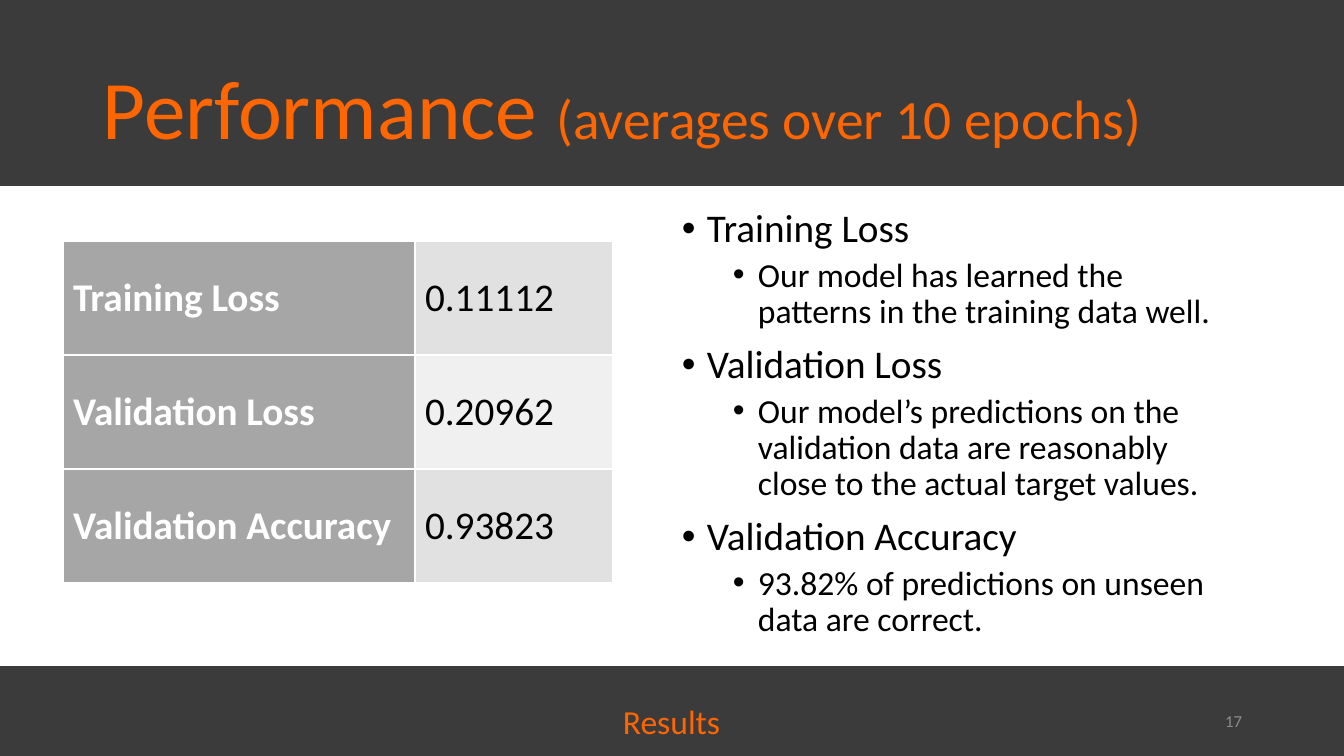
from lxml import etree
from pptx import Presentation
from pptx.dml.color import RGBColor
from pptx.enum.shapes import MSO_SHAPE
from pptx.enum.text import MSO_ANCHOR, PP_ALIGN
from pptx.oxml.ns import qn
from pptx.util import Pt

SCALE = 914400 / 100.8
FONT = "Calibri"
CHARCOAL = RGBColor(0x3B, 0x3B, 0x3B)
ORANGE = RGBColor(0xFF, 0x66, 0x00)
WHITE = RGBColor(0xFF, 0xFF, 0xFF)
BLACK = RGBColor(0x00, 0x00, 0x00)
PAGE_GRAY = RGBColor(0x8C, 0x8C, 0x8C)
LABEL_GRAY = RGBColor(0xA6, 0xA6, 0xA6)
BANDS = RGBColor(0xE1, 0xE1, 0xE1), RGBColor(0xF0, 0xF0, 0xF0)

METRICS = [
    ("Training Loss", "0.11112",
     "Our model has learned the patterns in the training data well."),
    ("Validation Loss", "0.20962",
     "Our model’s predictions on the validation data are reasonably "
     "close to the actual target values."),
    ("Validation Accuracy", "0.93823",
     "93.82% of predictions on unseen data are correct."),
]


def px(value):
    """Turn pixels into EMU."""
    return round(value * SCALE)


def add_run(paragraph, text, size, color, bold=False):
    """Append a styled run to a paragraph."""
    run = paragraph.add_run()
    run.text = text
    run.font.name, run.font.size, run.font.bold = FONT, Pt(size), bold
    run.font.color.rgb = color


def add_text_frame(slide, box, anchor=MSO_ANCHOR.TOP, wrap=True):
    """Add a text box and return its text frame."""
    frame = slide.shapes.add_textbox(*map(px, box)).text_frame
    frame.word_wrap = wrap
    frame.vertical_anchor = anchor
    return frame


def add_content_panel(slide, box):
    """Draw the white band between the dark header and footer."""
    panel = slide.shapes.add_shape(MSO_SHAPE.RECTANGLE, *map(px, box))
    panel.shadow.inherit = False
    panel.fill.solid()
    panel.fill.fore_color.rgb = WHITE
    panel.line.fill.background()


def add_title(slide, box):
    """Write the title with its smaller qualifier."""
    paragraph = add_text_frame(slide, box, MSO_ANCHOR.MIDDLE).paragraphs[0]
    paragraph.line_spacing = 0.9
    add_run(paragraph, "Performance ", 59.4, ORANGE)
    add_run(paragraph, "(averages over 10 epochs)", 39.6, ORANGE)


def add_borders(cell):
    """Give a cell thin white borders on all sides."""
    properties = cell._tc.get_or_add_tcPr()
    for index, side in enumerate(("lnL", "lnR", "lnT", "lnB")):
        line = etree.Element(qn(f"a:{side}"), w=str(Pt(1)))
        fill = etree.SubElement(line, qn("a:solidFill"))
        etree.SubElement(fill, qn("a:srgbClr"), val=str(WHITE))
        properties.insert(index, line)


def fill_cell(cell, text, color, background, bold):
    """Write and style one table cell."""
    cell.fill.solid()
    cell.fill.fore_color.rgb = background
    cell.vertical_anchor = MSO_ANCHOR.MIDDLE
    add_run(cell.text_frame.paragraphs[0], text, 28, color, bold)
    add_borders(cell)


def add_metrics_table(slide, box):
    """Build the table of metric names and values."""
    table = slide.shapes.add_table(len(METRICS), 2, *map(px, box)).table
    label_width = 352
    table.columns[0].width = px(label_width)
    table.columns[1].width = px(box[2] - label_width)
    for row, (name, value, _) in enumerate(METRICS):
        fill_cell(table.cell(row, 0), name, WHITE, LABEL_GRAY, True)
        fill_cell(table.cell(row, 1), value, BLACK, BANDS[row % 2], False)


def add_bullet(paragraph, text, size, indent, space):
    """Write one bulleted paragraph with a hanging indent."""
    paragraph.line_spacing = 0.9
    paragraph.space_before = Pt(space)
    properties = paragraph._p.get_or_add_pPr()
    properties.set("marL", str(px(indent)))
    properties.set("indent", str(-px(25)))
    font = etree.SubElement(properties, qn("a:buFont"))
    font.set("typeface", "Arial")
    etree.SubElement(properties, qn("a:buChar")).set("char", "•")
    add_run(paragraph, text, size, BLACK)


def add_findings(slide, box):
    """List each metric with its interpretation beneath."""
    frame = add_text_frame(slide, box)
    for index, (name, _, finding) in enumerate(METRICS):
        heading = frame.add_paragraph() if index else frame.paragraphs[0]
        add_bullet(heading, name, 28, 25, 10)
        detail = frame.add_paragraph()
        detail.level = 1
        add_bullet(detail, finding, 24, 76, 5)


def add_footer(slide, box):
    """Write the section name and the slide number."""
    left, top, width, _ = box
    section = add_text_frame(slide, (left + 613, top + 30, 119, 50), wrap=False)
    add_run(section.paragraphs[0], "Results", 24, ORANGE)
    number_box = left + width - 394, top + 35, 302, 40
    number = add_text_frame(slide, number_box, MSO_ANCHOR.MIDDLE).paragraphs[0]
    number.alignment = PP_ALIGN.RIGHT
    add_run(number, "17", 12, PAGE_GRAY)


def build_performance_slide(presentation):
    """Assemble the performance slide."""
    slide = presentation.slides.add_slide(presentation.slide_layouts[6])
    slide.background.fill.solid()
    slide.background.fill.fore_color.rgb = CHARCOAL
    add_content_panel(slide, (0, 186, 1344, 480))
    add_title(slide, (93, 40, 1159, 146))
    add_metrics_table(slide, (63, 241, 550, 342))
    add_findings(slide, (672, 204, 580, 457))
    add_footer(slide, (0, 666, 1344, 90))


presentation = Presentation()
presentation.slide_width, presentation.slide_height = px(1344), px(756)
build_performance_slide(presentation)
presentation.save("out.pptx")
